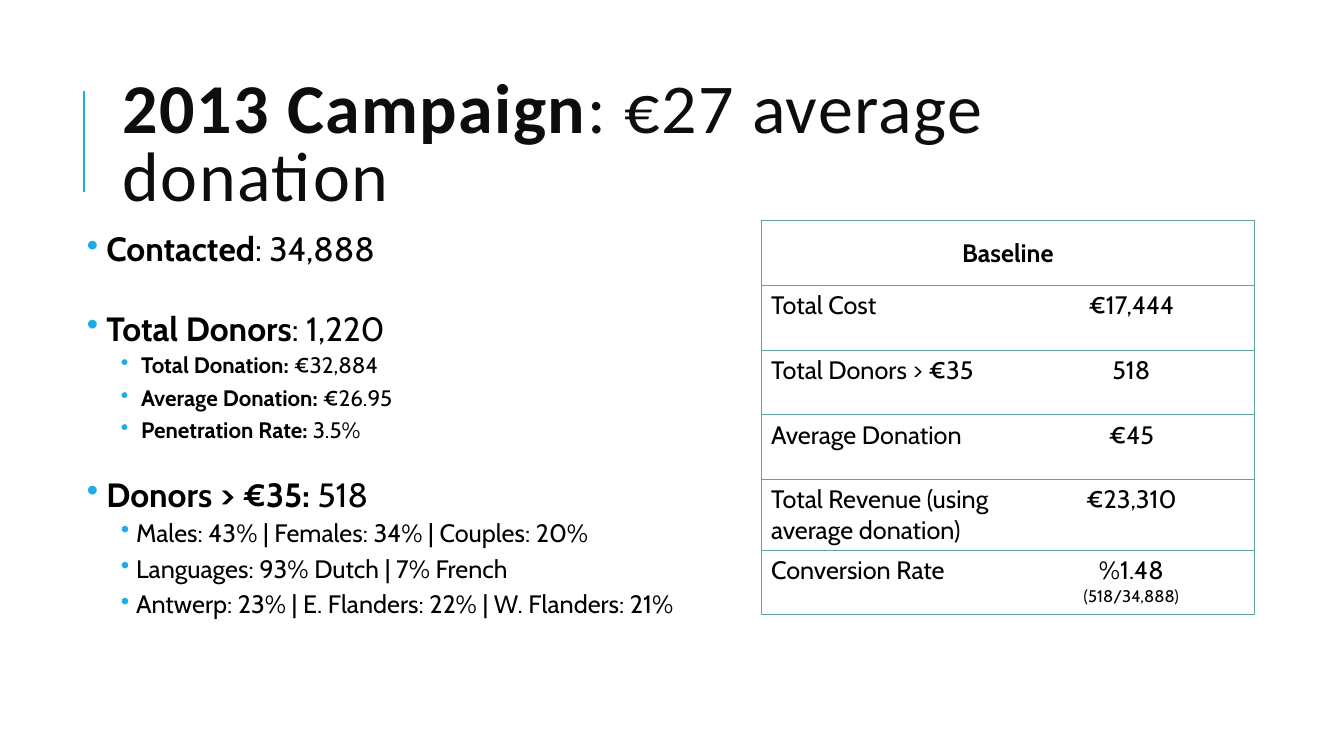
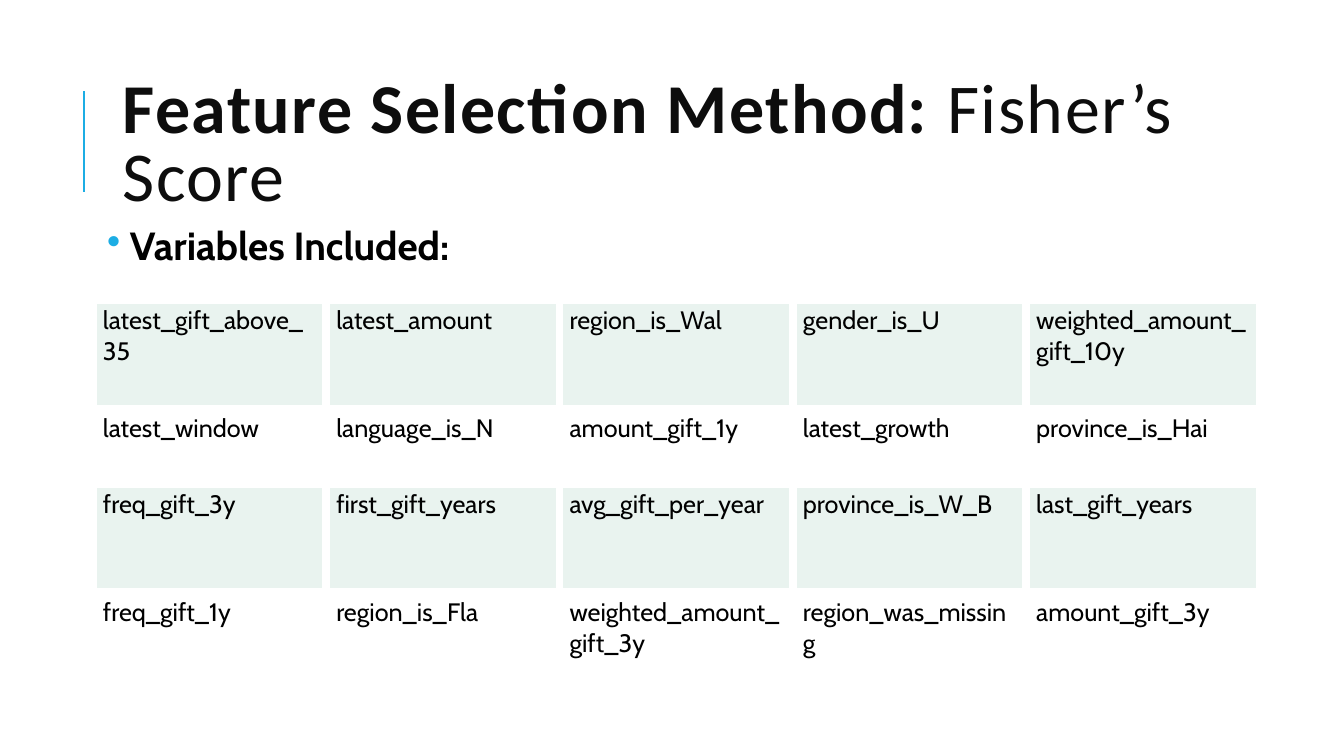
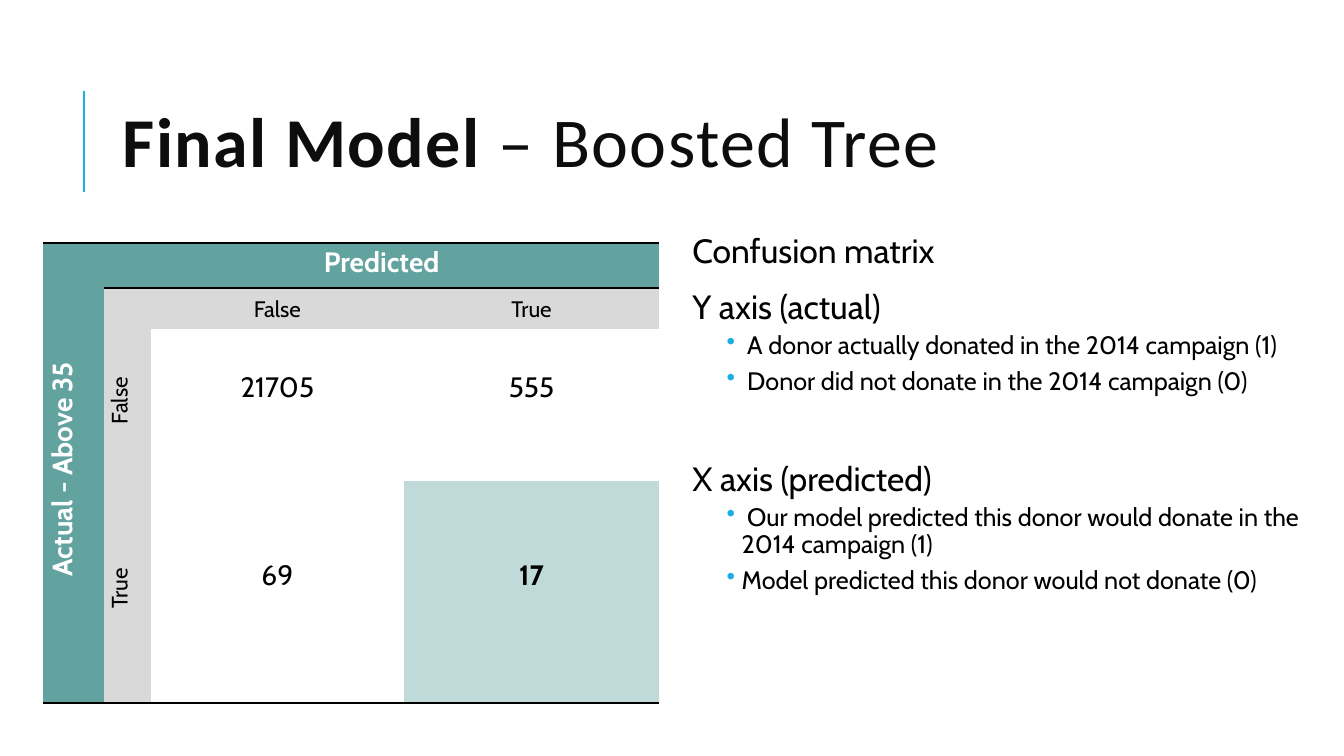
from pptx import Presentation
from pptx.dml.color import RGBColor
from pptx.enum.shapes import MSO_CONNECTOR
from pptx.enum.text import MSO_ANCHOR as ANCHOR, MSO_AUTO_SIZE as AUTO_SIZE, PP_ALIGN as ALIGN
from pptx.oxml.ns import qn
from pptx.util import Cm, Pt
from lxml.etree import SubElement

COLORS = {
    "accent": "1CADE4", "title": "0D0D0D", "text": "000000", "teal": "62A39F",
    "mint": "E9F3EF", "white": "FFFFFF", "grey": "D9D9D9", "hit": "C0DAD9",
}
NO_STYLE = "{2D5ABB26-0587-4C30-8999-92F81FD0307C}"

LINE_STYLES = {
    "plain": {"size": 24, "level": 0, "before": 12, "after": 2, "indent": None},
    "head": {"size": 24, "level": 0, "before": 12, "after": 2, "indent": (0.25, 0.25)},
    "big": {"size": 28, "level": 0, "before": 12, "after": 2, "indent": (0.25, 0.25)},
    "fact": {"size": 16, "level": 1, "before": 2, "after": 4, "indent": (1.24, 0.38)},
    "detail": {"size": 18, "level": 1, "before": 2, "after": 4, "indent": (1.24, 0.38)},
}

CAMPAIGN_LINES = [
    ("head", " Contacted", ": 34,888", 0),
    ("head", " Total Donors", ": 1,220", 17),
    ("fact", " Total Donation: ", "€32,884", 0),
    ("fact", " Average Donation: ", "€26.95", 0),
    ("fact", " Penetration Rate: ", "3.5%", 0),
    ("head", " Donors > €35: ", "518", 9),
    ("detail", "", "Males: 43% | Females: 34% | Couples: 20%", 0),
    ("detail", "", "Languages: 93% Dutch | 7% French", 0),
    ("detail", "", "Antwerp: 23% | E. Flanders: 22% | W. Flanders: 21%", 0),
]
BASELINE = [
    ("Baseline", ""),
    ("Total Cost", "€17,444"),
    ("Total Donors > €35", "518"),
    ("Average Donation", "€45"),
    ("Total Revenue (using average donation)", "€23,310"),
    ("Conversion Rate", "%1.48"),
]
CONVERSION_NOTE = "(518/34,888)"

VARIABLES_LINES = [("big", " Variables Included:", "", 0)]
VARIABLES = [
    ("latest_gift_above_35", "latest_amount", "region_is_Wal", "gender_is_U",
     "weighted_amount_gift_10y"),
    ("latest_window", "language_is_N", "amount_gift_1y", "latest_growth", "province_is_Hai"),
    ("freq_gift_3y", "first_gift_years", "avg_gift_per_year", "province_is_W_B",
     "last_gift_years"),
    ("freq_gift_1y", "region_is_Fla", "weighted_amount_gift_3y", "region_was_missing",
     "amount_gift_3y"),
]

MODEL_LINES = [
    ("plain", "", "Confusion matrix", 0),
    ("plain", "", "Y axis (actual)", 0),
    ("detail", "", " A donor actually donated in the 2014 campaign (1)", 0),
    ("detail", "", " Donor did not donate in the 2014 campaign (0)", 0),
    ("plain", "", "X axis (predicted)", 32),
    ("detail", "", " Our model predicted this donor would donate in the 2014 campaign (1)", 0),
    ("detail", "", "Model predicted this donor would not donate (0)", 0),
]
CONFUSION = [
    ("Actual - Above 35", "Predicted", "", ""),
    ("", "", "False", "True"),
    ("", "False", "21705", "555"),
    ("", "True", "69", "17"),
]


def rgb(name):
    return RGBColor.from_string(COLORS[name])


def add_run(paragraph, text, size, color="text", bold=False, name="Cabin"):
    run = paragraph.add_run()
    run.text = text
    for key, value in {"size": Pt(size), "bold": bold, "name": name}.items():
        setattr(run.font, key, value)
    run.font.color.rgb = rgb(color)
    return run


def add_titled_slide(deck, strong, light):
    slide = deck.slides.add_slide(deck.slide_layouts[5])
    rule = slide.shapes.add_connector(
        MSO_CONNECTOR.STRAIGHT, Cm(2.12), Cm(4.83), Cm(2.12), Cm(2.29))
    rule.line.color.rgb = rgb("accent")
    rule.line.width = Pt(1.5)
    SubElement(rule.element.spPr, qn("a:effectLst"))

    title = slide.shapes.title
    place = {"left": 2.84, "top": 1.63, "width": 27, "height": 4.17}
    for key, value in place.items():
        setattr(title, key, Cm(value))
    frame = title.text_frame
    frame.auto_size = AUTO_SIZE.NONE
    frame.vertical_anchor = ANCHOR.MIDDLE
    heading = frame.paragraphs[0]
    heading.alignment = ALIGN.LEFT
    heading.line_spacing = 0.8
    for text, bold in ((strong, True), (light, False)):
        run = add_run(heading, text, 50, "title", bold, "Calibri")
        run.font.element.set("spc", "100") if hasattr(run.font, "element") else \
            run._r.get_or_add_rPr().set("spc", "100")
    return slide


def add_bullet(paragraph, margin, hanging):
    props = paragraph._p.get_or_add_pPr()
    props.set("marL", str(Cm(margin)))
    props.set("indent", str(-Cm(hanging)))
    color = SubElement(props, qn("a:buClr"))
    SubElement(color, qn("a:srgbClr"), val=COLORS["accent"])
    SubElement(props, qn("a:buChar"), char="•")


def add_body(slide, left, top, width, height, lines):
    frame = slide.shapes.add_textbox(Cm(left), Cm(top), Cm(width), Cm(height)).text_frame
    frame.word_wrap = True
    for side in ("left", "top", "right", "bottom"):
        setattr(frame, f"margin_{side}", Cm(0.13))
    for index, (kind, strong, light, gap) in enumerate(lines):
        style = LINE_STYLES[kind]
        line = frame.add_paragraph() if index else frame.paragraphs[0]
        line.level = style["level"]
        line.line_spacing = 0.9
        line.space_before = Pt(style["before"] + gap)
        line.space_after = Pt(style["after"])
        if style["indent"]:
            add_bullet(line, *style["indent"])
        for text, bold in ((strong, True), (light, False)):
            if text:
                add_run(line, text, style["size"], bold=bold)


def add_grid(slide, left, top, widths, heights):
    frame = slide.shapes.add_table(
        len(heights), len(widths), Cm(left), Cm(top), Cm(sum(widths)), Cm(sum(heights)))
    grid = frame.table
    grid.first_row = grid.horz_banding = False
    frame.element.find(".//" + qn("a:tableStyleId")).text = NO_STYLE
    for column, width in zip(grid.columns, widths):
        column.width = Cm(width)
    for row, height in zip(grid.rows, heights):
        row.height = Cm(height)
    return grid


def style_cell(cell, sides, line_color, line_width, fill=None):
    props = cell._tc.get_or_add_tcPr()
    for side in "LRTB":
        if side in sides:
            border = SubElement(props, qn(f"a:ln{side}"), w=str(Pt(line_width)))
            paint = SubElement(border, qn("a:solidFill"))
            SubElement(paint, qn("a:srgbClr"), val=COLORS[line_color])
    if fill:
        cell.fill.solid()
        cell.fill.fore_color.rgb = rgb(fill)
    else:
        cell.fill.background()


def build_campaign(deck):
    slide = add_titled_slide(deck, "2013 Campaign", ": €27 average donation")
    add_body(slide, 2.06, 5.74, 15.72, 12.37, CAMPAIGN_LINES)
    heights = [1.63, 1.63, 1.63, 1.63, 1.7, 1.63]
    grid = add_grid(slide, 19.18, 5.56, [6.22, 6.22], heights)
    grid.cell(0, 0).merge(grid.cell(0, 1))
    for r, row in enumerate(BASELINE):
        for c, text in enumerate(row):
            cell = grid.cell(r, c)
            sides = "LRTB" if r == 0 else "LTB" if c == 0 else "RTB"
            style_cell(cell, sides, "teal", 0.75)
            if text:
                entry = cell.text_frame.paragraphs[0]
                entry.alignment = ALIGN.CENTER if r == 0 or c == 1 else ALIGN.LEFT
                add_run(entry, text, 18, bold=r == 0)
    grid.cell(0, 0).vertical_anchor = ANCHOR.MIDDLE
    note = grid.cell(len(BASELINE) - 1, 1).text_frame.add_paragraph()
    note.alignment = ALIGN.CENTER
    add_run(note, CONVERSION_NOTE, 12)


def build_features(deck):
    slide = add_titled_slide(deck, "Feature Selection Method: ", "Fisher’s Score")
    add_body(slide, 2.57, 5.59, 27, 11.18, VARIABLES_LINES)
    grid = add_grid(slide, 2.34, 7.57, [5.88] * 5, [2.72, 1.91, 2.72, 2.72])
    for r, row in enumerate(VARIABLES):
        for c, text in enumerate(row):
            cell = grid.cell(r, c)
            style_cell(cell, "LRTB", "white", 6, "white" if r % 2 else "mint")
            add_run(cell.text_frame.paragraphs[0], text, 18)


def build_model(deck):
    slide = add_titled_slide(deck, "Final Model ", "– Boosted Tree")
    add_body(slide, 17.32, 5.79, 15.57, 11.18, MODEL_LINES)
    grid = add_grid(slide, 1.08, 6.12, [1.55, 1.17, 6.38, 6.43], [1.14, 1.02, 3.84, 3.84])
    grid.cell(0, 0).merge(grid.cell(3, 0))
    grid.cell(0, 1).merge(grid.cell(0, 3))
    kinds = {
        "band": {"size": 20, "color": "white", "fill": "teal"},
        "axis": {"size": 16, "color": "text", "fill": "grey"},
        "count": {"size": 20, "color": "text", "fill": "white"},
    }
    for r, row in enumerate(CONFUSION):
        for c, text in enumerate(row):
            cell = grid.cell(r, c)
            kind = "band" if 0 in (r, c) else "axis" if 1 in (r, c) else "count"
            style = kinds[kind]
            hit = r == c == 3
            sides = {0: "TB", 3: "B"}.get(r, "")
            style_cell(cell, sides, "text", 2, "hit" if hit else style["fill"])
            margins = {"left": 0.18, "right": 0.18, "top": 0,
                       "bottom": 0.92 if kind == "count" else 0}
            for side, value in margins.items():
                setattr(cell, f"margin_{side}", Cm(value))
            if not text:
                continue
            entry = cell.text_frame.paragraphs[0]
            entry.alignment = ALIGN.CENTER
            entry.line_spacing = 1.07
            add_run(entry, text, style["size"], style["color"], kind == "band" or hit)
            if c == 0 or (c == 1 and r > 1):
                cell._tc.get_or_add_tcPr().set("vert", "vert270")
                entry._p.get_or_add_pPr().set("marL", str(Cm(0.2)))
            elif r > 0:
                cell.vertical_anchor = ANCHOR.MIDDLE


def main():
    deck = Presentation()
    deck.slide_width, deck.slide_height = Cm(33.87), Cm(19.05)
    for build in (build_campaign, build_features, build_model):
        build(deck)
    deck.save("out.pptx")


if __name__ == "__main__":
    main()
